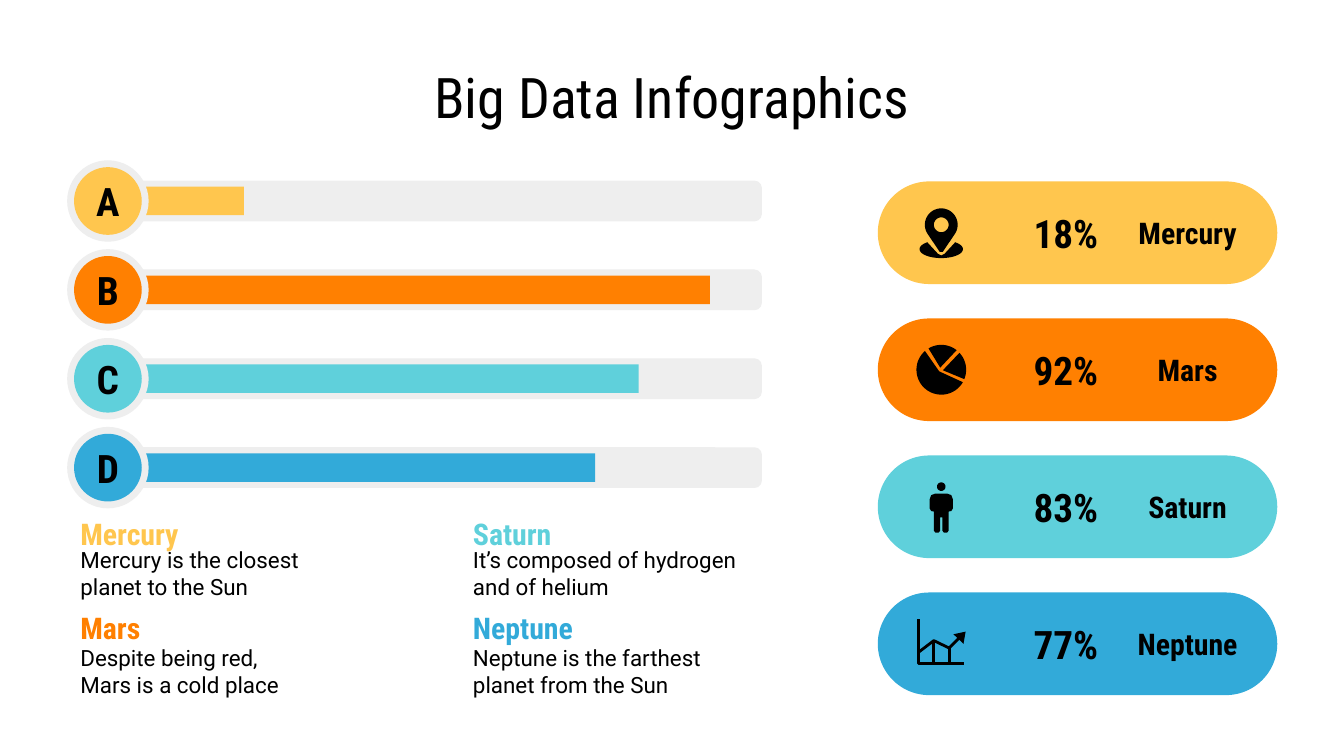
from math import cos, radians, sin

from pptx import Presentation
from pptx.dml.color import RGBColor
from pptx.enum.shapes import MSO_SHAPE
from pptx.enum.text import MSO_ANCHOR, PP_ALIGN
from pptx.util import Cm, Pt

BLACK = RGBColor(0x00, 0x00, 0x00)
GREY = RGBColor(0xEE, 0xEE, 0xEE)
YELLOW = RGBColor(0xFF, 0xC6, 0x4E)
ORANGE = RGBColor(0xFF, 0x80, 0x01)
TEAL = RGBColor(0x5F, 0xD0, 0xDB)
BLUE = RGBColor(0x32, 0xAA, 0xD9)

HEADING_FONT = "Roboto Condensed"
BODY_FONT = "Roboto"


def add_block(slide, preset, left, top, width, height, color):
    block = slide.shapes.add_shape(preset, Cm(left), Cm(top), Cm(width), Cm(height))
    block.shadow.inherit = False
    block.fill.solid()
    block.fill.fore_color.rgb = color
    block.line.fill.background()
    return block


def add_label(slide, text, left, top, width, height, size, *, color=BLACK,
              bold=True, font=HEADING_FONT, align=PP_ALIGN.CENTER):
    label = slide.shapes.add_textbox(Cm(left), Cm(top), Cm(width), Cm(height))
    frame = label.text_frame
    frame.word_wrap = True
    frame.vertical_anchor = MSO_ANCHOR.MIDDLE
    frame.margin_left = frame.margin_right = Cm(0.25)
    frame.margin_top = frame.margin_bottom = Cm(0.25)
    frame.text = text
    paragraph = frame.paragraphs[0]
    paragraph.alignment = align
    for run in paragraph.runs:
        run.font.name = font
        run.font.size = Pt(size)
        run.font.bold = bold
        run.font.color.rgb = color


def arc(x, y, rx, ry, start, end, steps=40):
    """Points on an ellipse; degrees run clockwise from the right."""
    angles = [radians(start + (end - start) * i / steps) for i in range(steps + 1)]
    return [(x + rx * cos(a), y + ry * sin(a)) for a in angles]


def add_outline(slide, cx, cy, *contours, stroke=None):
    """Draw contours given in cm around (cx, cy): filled, or open lines if stroke is set."""
    placed = [[(Cm(cx + x), Cm(cy + y)) for x, y in contour] for contour in contours]
    builder = slide.shapes.build_freeform(*placed[0][0])
    for number, (start, *rest) in enumerate(placed):
        if number:
            builder.move_to(*start)
        builder.add_line_segments(rest, close=stroke is None)
    outline = builder.convert_to_shape()
    outline.shadow.inherit = False
    if stroke:
        outline.fill.background()
        outline.line.color.rgb = BLACK
        outline.line.width = Pt(stroke)
    else:
        outline.fill.solid()
        outline.fill.fore_color.rgb = BLACK
        outline.line.fill.background()


def add_pin_icon(slide, cx, cy):
    head = arc(0, -0.15, 0.31, 0.31, 150, 390) + [(0.03, 0.36), (-0.03, 0.36)]
    hole = arc(0, -0.15, 0.14, 0.14, 360, 0)
    base = arc(0, 0.31, 0.41, 0.17, -50, 230) + [(-0.06, 0.4), (0, 0.43), (0.06, 0.4)]
    add_outline(slide, cx, cy, head, hole)
    add_outline(slide, cx, cy, base)


def add_pie_icon(slide, cx, cy):
    for apex, start, end in (((-0.04, 0.03), 30, 229),
                             ((-0.02, -0.04), 239, 308),
                             ((0.03, 0.01), 317, 382)):
        add_outline(slide, cx, cy, [apex] + arc(0, 0, 0.47, 0.47, start, end))


def add_person_icon(slide, cx, cy):
    right_half = [(0.02, 0.2), (0.02, 0.45), (0.05, 0.49), (0.11, 0.49), (0.14, 0.45),
                  (0.14, 0.09), (0.19, 0.08), (0.22, 0.03), (0.22, -0.14),
                  (0.19, -0.22), (0.11, -0.25)]
    left_half = [(-x, y) for x, y in reversed(right_half)]
    add_outline(slide, cx, cy, right_half + left_half)
    add_outline(slide, cx, cy, arc(0, -0.38, 0.08, 0.08, 0, 360))


def add_trend_icon(slide, cx, cy):
    axes = [(-0.43, -0.46), (-0.43, 0.38), (0.43, 0.38)]
    trend = [(-0.43, 0.16), (-0.14, -0.06), (0.15, 0.08), (0.36, -0.13)]
    drops = [[point, (point[0], 0.38)] for point in trend[1:3]]
    add_outline(slide, cx, cy, axes, trend, *drops, stroke=1.5)
    add_outline(slide, cx, cy, [(0.23, -0.18), (0.46, -0.23), (0.42, 0)])


def add_bar(slide, left, top, width, letter, length, color):
    """A lettered disc of 1.54 cm with a track to the right, filled to the given length."""
    disc, face, track, filled = 1.54, 1.28, 0.77, 0.54
    middle = top + disc / 2
    rim = (disc - face) / 2
    track_box = add_block(slide, MSO_SHAPE.ROUNDED_RECTANGLE, left + disc / 2,
                          middle - track / 2, width - disc / 2, track, GREY)
    track_box.adjustments[0] = 0.18
    add_block(slide, MSO_SHAPE.RECTANGLE, left + 1.48, middle - filled / 2,
              length, filled, color)
    add_block(slide, MSO_SHAPE.OVAL, left, top, disc, disc, GREY)
    add_block(slide, MSO_SHAPE.OVAL, left + rim, top + rim, face, face, color)
    add_label(slide, letter, left + rim, top + rim, face, face, 21)


def add_pill(slide, left, top, width, height, planet, percent, color, add_icon):
    pill = add_block(slide, MSO_SHAPE.ROUNDED_RECTANGLE, left, top, width, height, color)
    pill.adjustments[0] = 0.5
    middle = top + height / 2
    add_icon(slide, left + 1.2, middle)
    add_label(slide, percent, left + 2.54, middle - 0.64, 2.03, 1.27, 21)
    add_label(slide, planet, left + 4.57, middle - 0.5, 2.57, 1, 16)


def add_fact(slide, left, top, body_top, planet, fact, color):
    add_label(slide, planet, left, top, 3.05, 0.66, 16, color=color, align=PP_ALIGN.LEFT)
    add_label(slide, fact, left, body_top, 5.72, 0.89, 12, bold=False,
              font=BODY_FONT, align=PP_ALIGN.LEFT)


def main():
    deck = Presentation()
    deck.slide_width, deck.slide_height = Cm(25.4), Cm(14.29)
    slide = deck.slides.add_slide(deck.slide_layouts[6])

    add_label(slide, "Big Data Infographics", 1.27, 1.14, 22.86, 1.35, 30, bold=False)

    planets = (
        ("A", "Mercury", "18%", 1.86, YELLOW, add_pin_icon,
         "Mercury is the closest planet to the Sun"),
        ("B", "Mars", "92%", 10.67, ORANGE, add_pie_icon,
         "Despite being red,\vMars is a cold place"),
        ("C", "Saturn", "83%", 9.32, TEAL, add_person_icon,
         "It’s composed of hydrogen and of helium"),
        ("D", "Neptune", "77%", 8.5, BLUE, add_trend_icon,
         "Neptune is the farthest planet from the Sun"),
    )
    fact_columns = (1.27, 8.69)
    fact_rows = ((9.75, 10.39), (11.53, 12.24))

    for i, (letter, planet, percent, length, color, add_icon, fact) in enumerate(planets):
        add_bar(slide, 1.27, 3.03 + 1.68 * i, 13.13, letter, length, color)
        add_pill(slide, 16.59, 3.43 + 2.59 * i, 7.55, 1.94, planet, percent, color, add_icon)
        column, row = divmod(i, 2)
        add_fact(slide, fact_columns[column], *fact_rows[row], planet, fact, color)

    deck.save("out.pptx")


if __name__ == "__main__":
    main()
